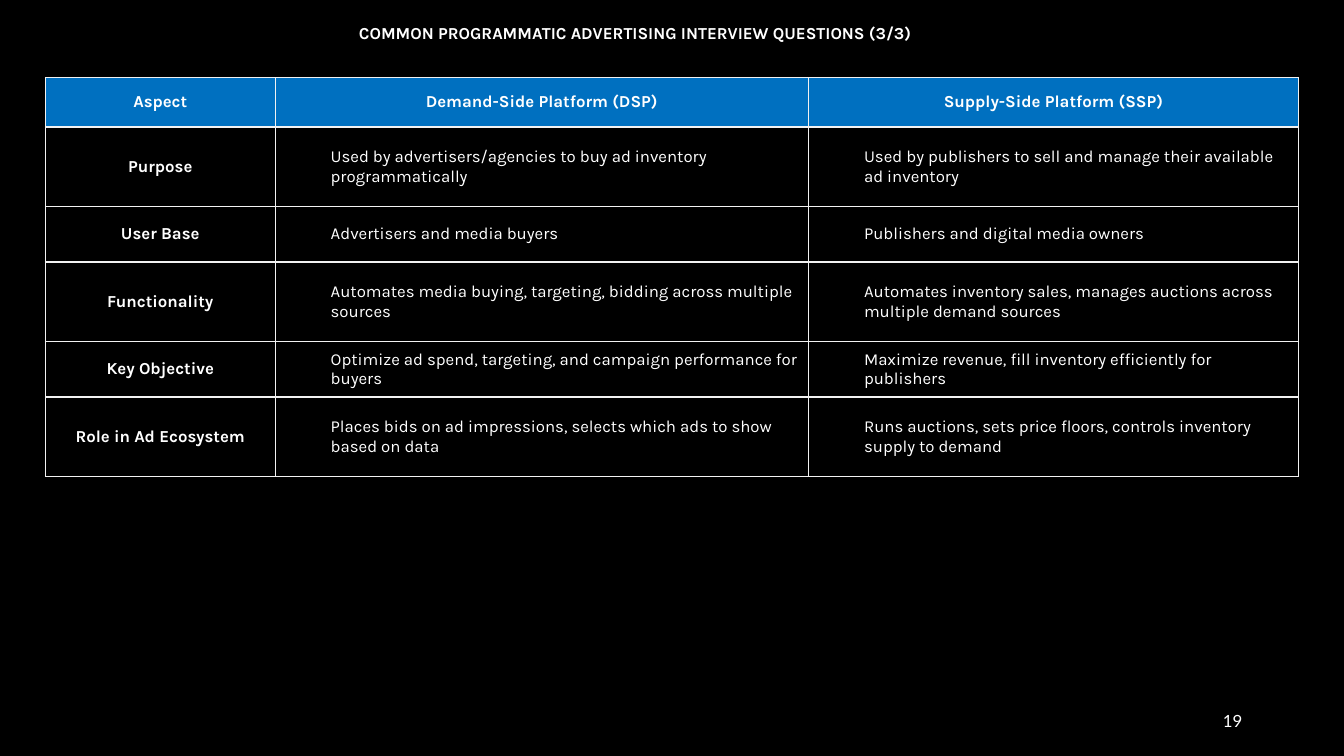
"""Build a slide that compares demand-side and supply-side platforms in a table."""
import dataclasses

import pptx
import pptx.dml.color
import pptx.enum.text
import pptx.oxml
import pptx.oxml.ns
import pptx.util

Inches = pptx.util.Inches
RGBColor = pptx.dml.color.RGBColor
Align = pptx.enum.text.PP_ALIGN
Anchor = pptx.enum.text.MSO_ANCHOR

BLACK = RGBColor(0x00, 0x00, 0x00)
WHITE = RGBColor(0xFF, 0xFF, 0xFF)
BLUE = RGBColor(0x00, 0x70, 0xC0)
GREY = RGBColor(0xF2, 0xF2, 0xF2)


@dataclasses.dataclass
class Row:
    aspect: str
    demand: str
    supply: str
    height: float


HEAD = Row("Aspect", "Demand-Side Platform (DSP)", "Supply-Side Platform (SSP)", 0.49)
ROWS = [
    HEAD,
    Row("Purpose",
        "Used by advertisers/agencies to buy ad inventory programmatically",
        "Used by publishers to sell and manage their available ad inventory", 0.79),
    Row("User Base",
        "Advertisers and media buyers",
        "Publishers and digital media owners", 0.55),
    Row("Functionality",
        "Automates media buying, targeting, bidding across multiple sources",
        "Automates inventory sales, manages auctions across multiple demand sources", 0.79),
    Row("Key Objective",
        "Optimize ad spend, targeting, and campaign performance for buyers",
        "Maximize revenue, fill inventory efficiently for publishers", 0.55),
    Row("Role in Ad Ecosystem",
        "Places bids on ad impressions, selects which ads to show based on data",
        "Runs auctions, sets price floors, controls inventory supply to demand", 0.79),
]
WIDTHS = [2.28, 5.29, 4.86]


def style(frame, text: str, align, bold: bool = False, face: str = "Karla") -> None:
    """Set the text of a frame and format its only paragraph."""
    frame.text = text
    frame.word_wrap = True
    line = frame.paragraphs[0]
    line.alignment = align
    for run in line.runs:
        run.font.name = face
        run.font.size = pptx.util.Pt(12)
        run.font.bold = bold
        run.font.color.rgb = WHITE


def place(shape, left: float, top: float, width: float, height: float) -> None:
    """Move a text shape and centre its text vertically."""
    shape.left, shape.top = Inches(left), Inches(top)
    shape.width, shape.height = Inches(width), Inches(height)
    shape.text_frame.vertical_anchor = Anchor.MIDDLE
    shape.text_frame.auto_size = pptx.enum.text.MSO_AUTO_SIZE.NONE


def edge(cell) -> None:
    """Draw a thin line on the four sides of a cell."""
    props = cell._tc.get_or_add_tcPr()
    space = pptx.oxml.ns.nsdecls("a")
    for spot, side in enumerate("LRTB"):
        props.insert(spot, pptx.oxml.parse_xml(
            f'<a:ln{side} {space} w="12700"><a:solidFill>'
            f'<a:srgbClr val="{GREY}"/></a:solidFill></a:ln{side}>'))


def fill(cell, text: str, head: bool, label: bool) -> None:
    """Write and format one table cell."""
    cell.margin_left = cell.margin_right = Inches(0.05)
    cell.margin_top = cell.margin_bottom = Inches(0.05)
    cell.vertical_anchor = Anchor.MIDDLE
    if head:
        cell.fill.solid()
        cell.fill.fore_color.rgb = BLUE
    else:
        cell.fill.background()
    edge(cell)
    strong = head or label
    style(cell.text_frame, text, Align.CENTER if strong else Align.LEFT, strong)
    if not strong:
        line = cell.text_frame.paragraphs[0]
        line.level = 1
        props = line._p.get_or_add_pPr()
        props.set("marL", str(Inches(0.5)))
        props.set("indent", "0")


def grid(slide) -> None:
    """Add the comparison table."""
    frame = slide.shapes.add_table(
        len(ROWS), len(WIDTHS), Inches(0.45), Inches(0.77),
        Inches(sum(WIDTHS)), Inches(sum(row.height for row in ROWS)))
    table = frame.table
    table.horz_banding = False
    for col, width in zip(table.columns, WIDTHS):
        col.width = Inches(width)
    for y, row in enumerate(ROWS):
        table.rows[y].height = Inches(row.height)
        for x, text in enumerate((row.aspect, row.demand, row.supply)):
            fill(table.cell(y, x), text, row is HEAD, x == 0)


def main() -> None:
    """Build and save the deck."""
    deck = pptx.Presentation()
    deck.slide_width, deck.slide_height = Inches(13.33), Inches(7.5)
    slide = deck.slides.add_slide(deck.slide_layouts[5])
    slide.background.fill.solid()
    slide.background.fill.fore_color.rgb = BLACK

    title = slide.shapes.title
    place(title, 3.46, 0.13, 6.41, 0.4)
    style(title.text_frame, "COMMON PROGRAMMATIC ADVERTISING INTERVIEW QUESTIONS (3/3)",
          Align.JUSTIFY, True)
    grid(slide)
    page = slide.shapes.add_textbox(0, 0, 0, 0)
    place(page, 9.42, 6.95, 3, 0.4)
    style(page.text_frame, "19", Align.RIGHT, face="Lato")
    deck.save("out.pptx")


if __name__ == "__main__":
    main()
